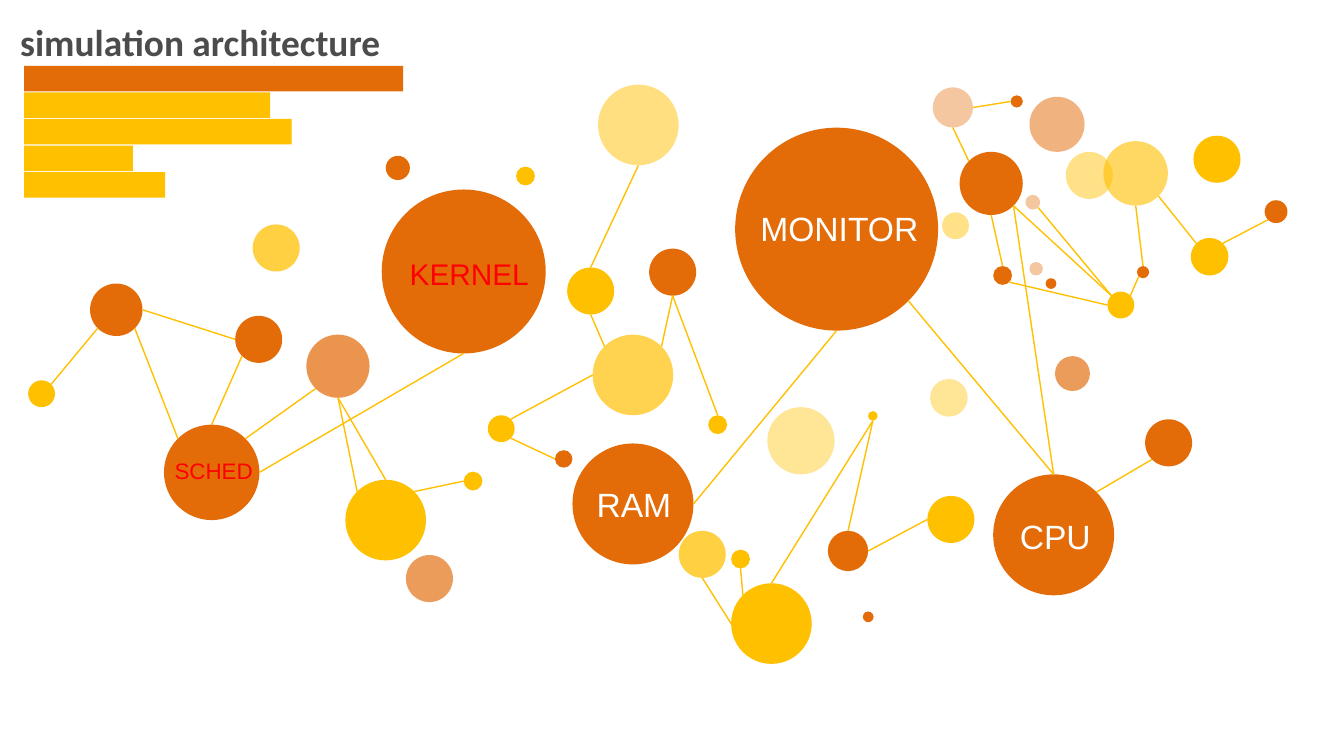
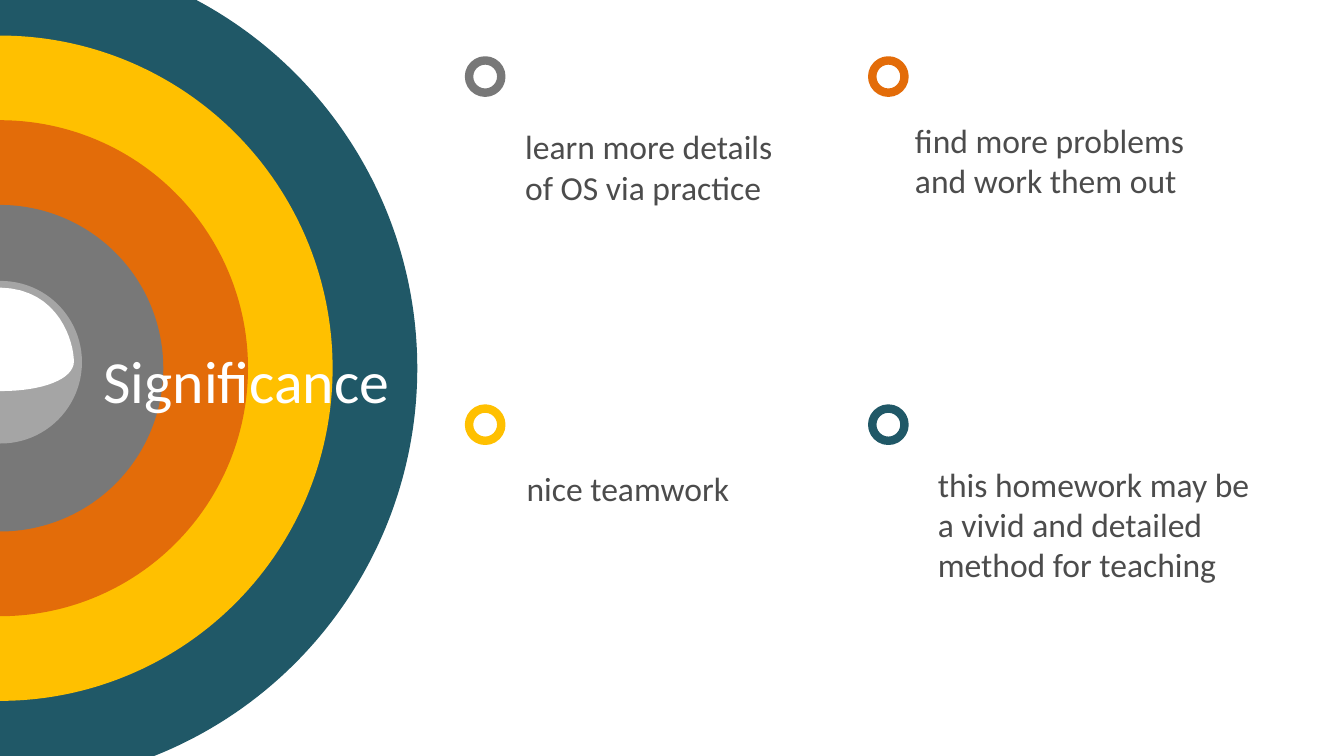
import math
from dataclasses import dataclass

import pptx
import pptx.dml.color
import pptx.enum.shapes
import pptx.enum.text
import pptx.oxml
import pptx.oxml.ns
import pptx.util
from pptx.util import Inches

COLORS = {
    "orange": "E36C09",
    "amber": "FFC000",
    "teal": "205867",
    "gray": "787878",
    "silver": "A5A5A5",
    "text": "4C4C4C",
    "red": "FF0000",
    "white": "FFFFFF",
}
OVAL = pptx.enum.shapes.MSO_SHAPE.OVAL
RECTANGLE = pptx.enum.shapes.MSO_SHAPE.RECTANGLE
SLIDE_WIDTH = Inches(10)
SLIDE_HEIGHT = SLIDE_WIDTH * 9 // 16
TITLE_ONLY_LAYOUT = 5
SITE_ANGLES = {"R": 0, "BR": 45, "B": 90, "BL": 135, "L": 180, "TL": 225, "T": 270, "TR": 315}


@dataclass(frozen=True)
class Dot:
    left: float
    top: float
    size: float
    color: str = "orange"
    opacity: int = 100

    def site(self, name: str) -> tuple[float, float]:
        radius = self.size / 2
        angle = math.radians(SITE_ANGLES[name])
        return (
            self.left + radius * (1 + math.cos(angle)),
            self.top + radius * (1 + math.sin(angle)),
        )


@dataclass(frozen=True)
class Text:
    left: float
    top: float
    width: float
    height: float
    lines: tuple[str, ...]
    size: int = 18
    color: str = "text"
    font: str = "Calibri"
    bold: bool = False
    wrap: bool = True


@dataclass(frozen=True)
class Point:
    ring_left: float
    ring_top: float
    color: str
    text: Text


def label(word: str, left: float, top: float, width: float, height: float,
          size: int = 18, color: str = "white") -> Text:
    return Text(left, top, width, height, (word,), size, color, "Arial", wrap=False)


DOTS = {
    "west_end": Dot(0.21, 2.83, 0.2, "amber"),
    "west_top": Dot(0.67, 2.11, 0.39),
    "sched": Dot(1.22, 3.16, 0.71),
    "west_right": Dot(1.75, 2.35, 0.35),
    "west_pale": Dot(2.28, 2.49, 0.47, "orange", 72),
    "west_free": Dot(1.88, 1.67, 0.35, "amber", 74),
    "west_low": Dot(2.57, 3.57, 0.6, "amber"),
    "west_base": Dot(3.02, 4.13, 0.35, "orange", 67),
    "west_tail": Dot(3.45, 3.51, 0.14, "amber"),
    "joint": Dot(3.63, 3.09, 0.2, "amber"),
    "kernel": Dot(2.84, 1.41, 1.22),
    "kernel_left": Dot(2.87, 1.16, 0.18),
    "kernel_right": Dot(3.84, 1.24, 0.14, "amber"),
    "mid_left": Dot(4.22, 1.99, 0.35, "amber"),
    "mid_core": Dot(4.41, 2.49, 0.6, "amber", 69),
    "mid_right": Dot(4.83, 1.85, 0.35),
    "mid_top": Dot(4.45, 0.63, 0.6, "amber", 50),
    "mid_tail": Dot(5.27, 3.09, 0.14, "amber"),
    "joint_tail": Dot(4.13, 3.35, 0.13),
    "ram": Dot(4.26, 3.3, 0.9),
    "south_left": Dot(5.05, 3.95, 0.35, "amber", 74),
    "south_small": Dot(5.44, 4.09, 0.14, "amber"),
    "south_core": Dot(5.44, 4.34, 0.6, "amber"),
    "south_free": Dot(6.42, 4.55, 0.08),
    "south_right": Dot(6.16, 3.95, 0.3),
    "south_end": Dot(6.9, 3.69, 0.35, "amber"),
    "south_peak": Dot(6.46, 3.06, 0.07, "amber"),
    "south_pale": Dot(5.71, 3.03, 0.5, "amber", 41),
    "monitor": Dot(5.47, 0.95, 1.51),
    "monitor_side": Dot(7.01, 1.58, 0.2, "amber", 47),
    "monitor_low": Dot(6.92, 2.82, 0.28, "amber", 41),
    "cpu": Dot(7.39, 3.53, 0.9),
    "cpu_right": Dot(8.52, 3.12, 0.35),
    "cpu_top": Dot(7.85, 2.65, 0.26, "orange", 67),
    "east_pale": Dot(6.94, 0.65, 0.3, "orange", 38),
    "east_tip": Dot(7.52, 0.71, 0.09),
    "east_core": Dot(7.14, 1.13, 0.47),
    "east_small": Dot(7.63, 1.45, 0.11, "orange", 38),
    "east_low": Dot(7.39, 1.98, 0.14),
    "east_speck": Dot(7.78, 2.07, 0.08),
    "east_faint": Dot(7.66, 1.95, 0.1, "orange", 38),
    "east_hub": Dot(8.24, 2.17, 0.2, "amber"),
    "east_top": Dot(7.66, 0.72, 0.41, "orange", 52),
    "east_overlap": Dot(7.93, 1.13, 0.35, "amber", 47),
    "east_big": Dot(8.21, 1.05, 0.48, "amber", 61),
    "east_link": Dot(8.46, 1.98, 0.09),
    "east_free": Dot(8.88, 1.01, 0.35, "amber"),
    "east_end": Dot(9.41, 1.49, 0.17),
    "east_turn": Dot(8.86, 1.77, 0.28, "amber"),
}
EDGES = [
    ("west_end", "TR", "west_top", "BL"),
    ("west_right", "L", "west_top", "R"),
    ("sched", "TL", "west_top", "BR"),
    ("sched", "T", "west_right", "BL"),
    ("sched", "TR", "west_pale", "BL"),
    ("sched", "R", "kernel", "B"),
    ("west_low", "TL", "west_pale", "B"),
    ("west_low", "T", "west_pale", "B"),
    ("west_tail", "L", "west_low", "TR"),
    ("joint_tail", "L", "joint", "BR"),
    ("mid_core", "L", "joint", "TR"),
    ("mid_core", "TL", "mid_left", "B"),
    ("mid_left", "T", "mid_top", "B"),
    ("mid_core", "TR", "mid_right", "B"),
    ("mid_tail", "T", "mid_right", "B"),
    ("monitor", "B", "ram", "R"),
    ("south_core", "L", "south_left", "B"),
    ("south_core", "TL", "south_small", "B"),
    ("south_core", "T", "south_peak", "B"),
    ("south_right", "T", "south_peak", "B"),
    ("south_end", "L", "south_right", "R"),
    ("cpu", "T", "monitor", "BR"),
    ("cpu_right", "BL", "cpu", "TR"),
    ("cpu", "T", "east_core", "BR"),
    ("east_low", "T", "east_core", "B"),
    ("east_hub", "L", "east_low", "BR"),
    ("east_hub", "TR", "east_link", "BL"),
    ("east_link", "T", "east_big", "B"),
    ("east_turn", "TL", "east_big", "BR"),
    ("east_end", "BL", "east_turn", "TR"),
    ("east_core", "TL", "east_pale", "B"),
    ("east_tip", "L", "east_pale", "R"),
    ("east_hub", "TL", "east_small", "BR"),
    ("east_hub", "TL", "east_core", "BR"),
]
BAR_WIDTHS = [2.82, 1.83, 1.99, 0.81, 1.05]
BAR_PITCH = 0.79 / 4
LABELS = [
    label("SCHED", 1.2, 3.35, 0.78, 0.3, 12, "red"),
    label("KERNEL", 2.95, 1.85, 1.08, 0.37, 16, "red"),
    label("MONITOR", 5.56, 1.5, 1.37, 0.4),
    label("RAM", 4.34, 3.55, 0.75, 0.4),
    label("CPU", 7.49, 3.79, 0.73, 0.4),
]
ARCHITECTURE_TITLE = Text(0.05, 0.09, 2.89, 0.44, ("simulation architecture",), 20,
                          bold=True, wrap=False)
SIGNIFICANCE_TITLE = Text(0.67, 2.51, 2.74, 0.64, ("Significance",), 32, "white")
DISC_COLORS = ["teal", "amber", "orange", "gray"]
DOME_CURVES = [
    ((-0.54, 2.69), (-0.54, 2.56), (-0.44, 2.13), (0, 2.14)),
    ((0, 2.14), (0.45, 2.15), (0.55, 2.56), (0.55, 2.69)),
    ((0.55, 2.69), (0.55, 2.82), (0.32, 2.91), (0.01, 2.91)),
    ((0.01, 2.91), (-0.29, 2.91), (-0.54, 2.82), (-0.54, 2.69)),
]
POINTS = [
    Point(3.49, 0.45, "gray",
          Text(3.81, 0.89, 2.56, 0.7, ("learn more details", "of OS via practice"))),
    Point(6.49, 0.45, "orange",
          Text(6.71, 0.84, 2.56, 0.7, ("find more problems", "and work them out"))),
    Point(3.49, 3.04, "amber", Text(3.82, 3.43, 2.56, 0.4, ("nice teamwork",))),
    Point(6.49, 3.04, "teal",
          Text(6.88, 3.4, 2.56, 1,
               ("this homework may be a vivid and detailed method for teaching",))),
]


def rgb(color: str) -> pptx.dml.color.RGBColor:
    return pptx.dml.color.RGBColor.from_string(COLORS[color])


def fill_shape(shape, color: str) -> None:
    shape.shadow.inherit = False
    shape.fill.solid()
    shape.fill.fore_color.rgb = rgb(color)
    shape.line.fill.background()


def add_filled(slide, kind, left: float, top: float, width: float, height: float, color: str):
    shape = slide.shapes.add_shape(kind, Inches(left), Inches(top), Inches(width), Inches(height))
    fill_shape(shape, color)
    return shape


def add_dot(slide, dot: Dot) -> None:
    shape = add_filled(slide, OVAL, dot.left, dot.top, dot.size, dot.size, dot.color)
    if dot.opacity < 100:
        color_element = shape.element.spPr.find(".//" + pptx.oxml.ns.qn("a:srgbClr"))
        alpha = pptx.oxml.parse_xml(
            f'<a:alpha {pptx.oxml.ns.nsdecls("a")} val="{dot.opacity * 1000}"/>')
        color_element.append(alpha)


def add_edge(slide, start: tuple[float, float], end: tuple[float, float]) -> None:
    connector = slide.shapes.add_connector(
        pptx.enum.shapes.MSO_CONNECTOR.STRAIGHT, *map(Inches, start + end))
    connector.line.color.rgb = rgb("amber")
    connector.line.width = pptx.util.Pt(0.75)
    connector.element.spPr.append(
        pptx.oxml.parse_xml(f'<a:effectLst {pptx.oxml.ns.nsdecls("a")}/>'))


def write_text(shape, text: Text) -> None:
    shape.left, shape.top = Inches(text.left), Inches(text.top)
    shape.width, shape.height = Inches(text.width), Inches(text.height)
    frame = shape.text_frame
    frame.word_wrap = text.wrap
    frame.auto_size = pptx.enum.text.MSO_AUTO_SIZE.NONE
    frame.vertical_anchor = pptx.enum.text.MSO_ANCHOR.TOP
    for index, line in enumerate(text.lines):
        paragraph = frame.add_paragraph() if index else frame.paragraphs[0]
        paragraph.alignment = pptx.enum.text.PP_ALIGN.LEFT
        run = paragraph.add_run()
        run.text = line
        run.font.name = text.font
        run.font.size = pptx.util.Pt(text.size)
        run.font.bold = text.bold
        run.font.color.rgb = rgb(text.color)


def add_text(slide, text: Text) -> None:
    write_text(slide.shapes.add_textbox(0, 0, 0, 0), text)


def add_title(slide, text: Text) -> None:
    title = slide.shapes.title
    write_text(title, text)
    title.element.getparent().append(title.element)


def add_dome(slide, steps: int = 16) -> None:
    vertices = []
    for curve in DOME_CURVES:
        for step in range(1, steps + 1):
            t = step / steps
            weights = ((1 - t) ** 3, 3 * t * (1 - t) ** 2, 3 * t ** 2 * (1 - t), t ** 3)
            vertices.append(tuple(
                Inches(sum(weight * point[axis] for weight, point in zip(weights, curve)))
                for axis in (0, 1)))
    builder = slide.shapes.build_freeform(*vertices[-1])
    builder.add_line_segments(vertices[:-1], close=True)
    fill_shape(builder.convert_to_shape(), "white")


def add_ring(slide, point: Point) -> None:
    ring = add_filled(slide, OVAL, point.ring_left, point.ring_top, 0.24, 0.24, "white")
    ring.fill.background()
    ring.line.color.rgb = rgb(point.color)
    ring.line.width = pptx.util.Pt(4.5)


def build_architecture(slide) -> None:
    for dot in DOTS.values():
        add_dot(slide, dot)
    for start, start_site, end, end_site in EDGES:
        add_edge(slide, DOTS[start].site(start_site), DOTS[end].site(end_site))
    for index, width in enumerate(BAR_WIDTHS):
        color = "amber" if index else "orange"
        add_filled(slide, RECTANGLE, 0.18, 0.49 + BAR_PITCH * index, width, 0.19, color)
    for text in LABELS:
        add_text(slide, text)
    add_title(slide, ARCHITECTURE_TITLE)


def build_significance(slide) -> None:
    for index, color in enumerate(DISC_COLORS):
        diameter = 6.21 - 1.26 * index
        add_dot(slide, Dot(-diameter / 2, 2.74 - diameter / 2, diameter, color))
    add_dot(slide, Dot(-0.6, 2.09, 1.21, "silver"))
    add_dome(slide)
    for point in POINTS:
        add_ring(slide, point)
        add_text(slide, point.text)
    add_title(slide, SIGNIFICANCE_TITLE)


def main() -> None:
    presentation = pptx.Presentation()
    presentation.slide_width, presentation.slide_height = SLIDE_WIDTH, SLIDE_HEIGHT
    layout = presentation.slide_layouts[TITLE_ONLY_LAYOUT]
    for build in (build_architecture, build_significance):
        build(presentation.slides.add_slide(layout))
    presentation.save("out.pptx")


if __name__ == "__main__":
    main()
